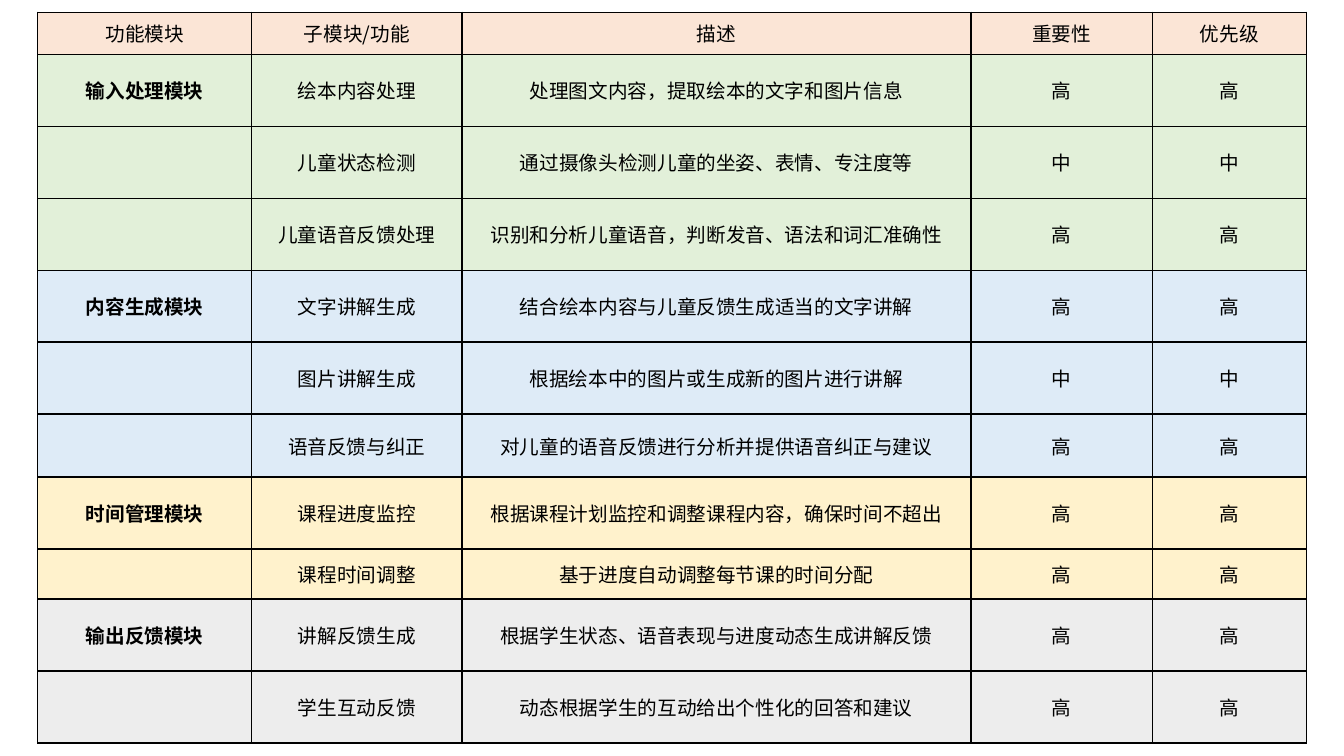
from dataclasses import dataclass

from lxml.etree import SubElement
from pptx import Presentation
from pptx.dml.color import RGBColor
from pptx.enum.text import MSO_ANCHOR, PP_ALIGN
from pptx.oxml.ns import qn
from pptx.table import Table, _Cell
from pptx.util import Pt

COLORS = {
    "ink": "000000",
    "head": "FBE5D6",
    "input": "E2F0D9",
    "content": "DEEBF7",
    "time": "FFF2CC",
    "output": "EDEDED",
}
FACE = "Noto Sans CJK SC"
WIDTHS = (152.8, 150.2, 363.6, 129.4, 110.4)
TALL = 51.4

CELL = {
    "vertical_anchor": MSO_ANCHOR.MIDDLE,
    "margin_left": Pt(3.6),
    "margin_right": Pt(3.6),
    "margin_top": Pt(1.4),
    "margin_bottom": Pt(1.4),
}
FONT = {"name": FACE, "size": Pt(14)}
PLAIN = {"first_row": False, "horz_banding": False}


@dataclass
class Item:
    name: str
    note: str
    weight: str
    order: str
    height: float = TALL


@dataclass
class Module:
    title: str
    color: str
    items: list[Item]
    bold: bool = True


MODULES = [
    Module("功能模块", "head", [
        Item("子模块/功能", "描述", "重要性", "优先级", 30),
    ], bold=False),
    Module("输入处理模块", "input", [
        Item("绘本内容处理", "处理图文内容，提取绘本的文字和图片信息", "高", "高"),
        Item("儿童状态检测", "通过摄像头检测儿童的坐姿、表情、专注度等", "中", "中"),
        Item("儿童语音反馈处理", "识别和分析儿童语音，判断发音、语法和词汇准确性", "高", "高"),
    ]),
    Module("内容生成模块", "content", [
        Item("文字讲解生成", "结合绘本内容与儿童反馈生成适当的文字讲解", "高", "高"),
        Item("图片讲解生成", "根据绘本中的图片或生成新的图片进行讲解", "中", "中"),
        Item("语音反馈与纠正", "对儿童的语音反馈进行分析并提供语音纠正与建议", "高", "高", 45),
    ]),
    Module("时间管理模块", "time", [
        Item("课程进度监控", "根据课程计划监控和调整课程内容，确保时间不超出", "高", "高"),
        Item("课程时间调整", "基于进度自动调整每节课的时间分配", "高", "高", 35.8),
    ]),
    Module("输出反馈模块", "output", [
        Item("讲解反馈生成", "根据学生状态、语音表现与进度动态生成讲解反馈", "高", "高"),
        Item("学生互动反馈", "动态根据学生的互动给出个性化的回答和建议", "高", "高"),
    ]),
]


def apply(target: object, values: dict) -> None:
    """Set each named attribute of the target."""
    for name, value in values.items():
        setattr(target, name, value)


def rgb(name: str) -> RGBColor:
    return RGBColor.from_string(COLORS[name])


def add_border(cell: _Cell) -> None:
    props = cell._tc.get_or_add_tcPr()
    for side in ("lnL", "lnR", "lnT", "lnB"):
        line = SubElement(props, qn(f"a:{side}"), w=str(Pt(1)))
        fill = SubElement(line, qn("a:solidFill"))
        SubElement(fill, qn("a:srgbClr"), val=COLORS["ink"])


def fill_cell(cell: _Cell, text: str, color: str, bold: bool) -> None:
    apply(cell, CELL)
    add_border(cell)
    cell.fill.solid()
    cell.fill.fore_color.rgb = rgb(color)
    if not text:
        return
    para = cell.text_frame.paragraphs[0]
    para.alignment = PP_ALIGN.CENTER
    run = para.add_run()
    run.text = text
    apply(run.font, FONT | {"bold": bold})
    run.font.color.rgb = rgb("ink")
    SubElement(run._r.get_or_add_rPr(), qn("a:ea"), typeface=FACE)


def fill_table(table: Table) -> None:
    apply(table, PLAIN)
    for column, width in zip(table.columns, WIDTHS):
        column.width = Pt(width)
    rows = iter(table.rows)
    for module in MODULES:
        for place, item in enumerate(module.items):
            row = next(rows)
            row.height = Pt(item.height)
            title = "" if place else module.title
            texts = (title, item.name, item.note, item.weight, item.order)
            for index, (cell, text) in enumerate(zip(row.cells, texts)):
                fill_cell(cell, text, module.color, module.bold and index == 0)


def main() -> None:
    deck = Presentation()
    apply(deck, {"slide_width": Pt(960), "slide_height": Pt(540)})
    slide = deck.slides.add_slide(deck.slide_layouts[6])
    heights = [item.height for module in MODULES for item in module.items]
    frame = slide.shapes.add_table(
        len(heights), len(WIDTHS),
        Pt(27), Pt(8.8), Pt(sum(WIDTHS)), Pt(sum(heights)),
    )
    fill_table(frame.table)
    deck.save("out.pptx")


if __name__ == "__main__":
    main()
